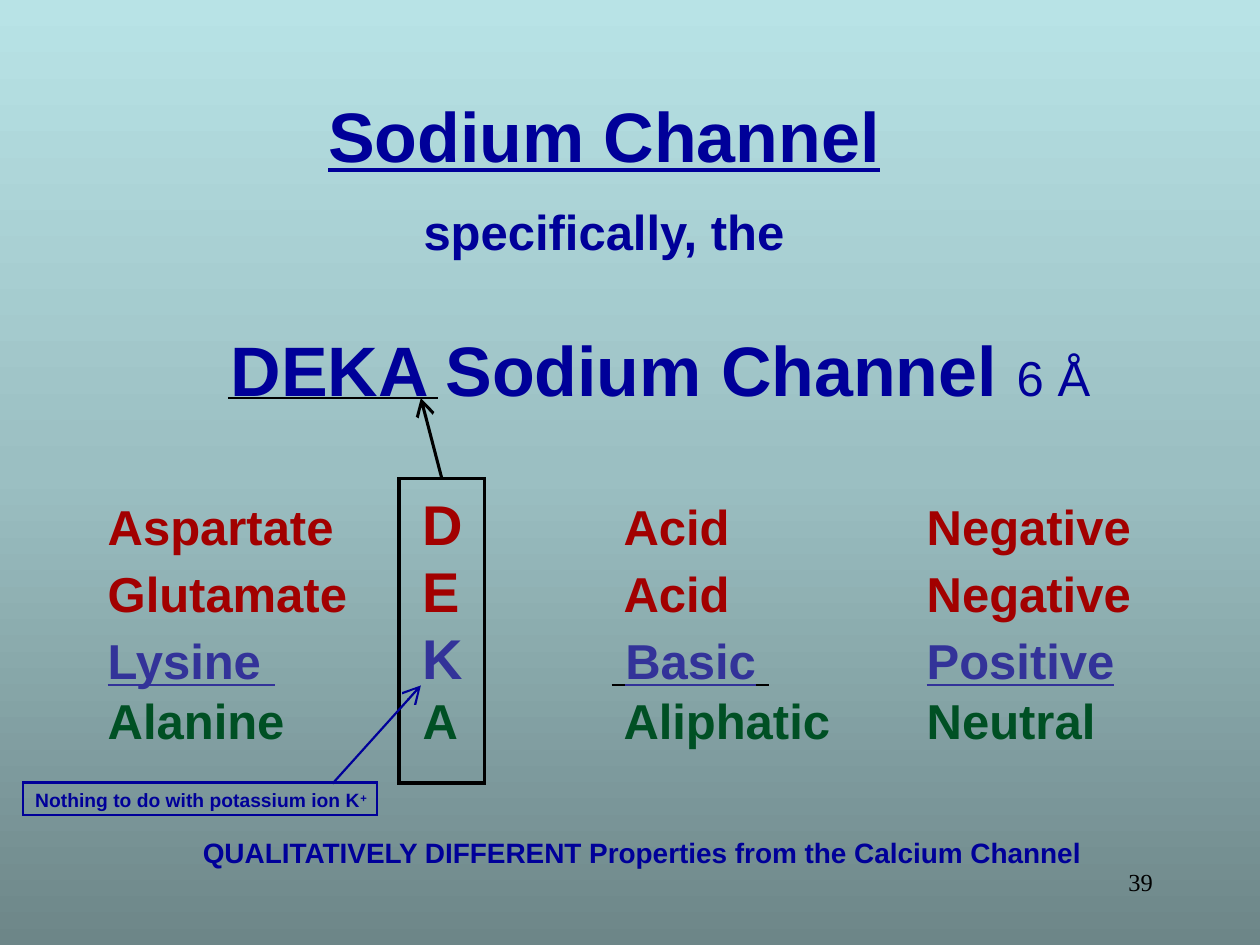
from copy import deepcopy

from pptx import Presentation
from pptx.dml.color import RGBColor
from pptx.enum.shapes import MSO_CONNECTOR, MSO_SHAPE
from pptx.enum.text import MSO_ANCHOR, MSO_AUTO_SIZE, PP_ALIGN
from pptx.oxml.ns import qn
from pptx.util import Pt
from lxml.etree import SubElement

NAVY, BLACK, RED, VIOLET, GREEN = "000099", "000000", "A20000", "333399", "005024"
STOPS = [(0, "6D8688"), (0.5, "9BBFC2"), (1, "B8E3E6")]
TABS = [180, 288, 468]
LINK = {"color": VIOLET, "line": True}
DARK = {"color": BLACK, "line": True}
BIG = {"size": 32}
ROWS = [
    (RED, [("Aspartate \t", {}), ("D", BIG), ("\t Acid  \tNegative", {})]),
    (RED, [("Glutamate \t", {}), ("E", BIG), ("\t Acid\tNegative", {})]),
    (VIOLET, [("Lysine ", LINK), ("\t", {}), ("K", BIG), ("\t", {}),
              (" ", DARK), ("Basic", LINK), (" ", DARK), ("\t", {}),
              ("Positive", LINK)]),
    (GREEN, [("Alanine \tA\t Aliphatic\tNeutral", {})]),
]


def hue(code):
    return RGBColor.from_string(code)


class Deck:
    face = "Arial"

    def __init__(self, wide, high):
        self.file = Presentation()
        self.file.slide_width, self.file.slide_height = Pt(wide), Pt(high)
        self.slide = self.file.slides.add_slide(self.file.slide_layouts[5])
        self.shapes = self.slide.shapes

    def fade(self, stops, angle):
        fill = self.slide.background.fill
        fill.gradient()
        fill.gradient_angle = angle
        held = self.slide.element.find(".//" + qn("a:gsLst"))
        held.append(deepcopy(held[0]))
        for stop, (place, code) in zip(fill.gradient_stops, stops):
            stop.position = place
            stop.color.rgb = hue(code)

    def place(self, shape, left, top, wide, high):
        shape.left, shape.top = Pt(left), Pt(top)
        shape.width, shape.height = Pt(wide), Pt(high)
        frame = shape.text_frame
        frame.word_wrap = True
        frame.auto_size = MSO_AUTO_SIZE.NONE
        frame.vertical_anchor = MSO_ANCHOR.TOP
        return frame

    def box(self, left, top, wide, high):
        shape = self.shapes.add_textbox(0, 0, 0, 0)
        return self.place(shape, left, top, wide, high)

    def style(self, par, size, color=NAVY, bold=True, face=None,
              align=PP_ALIGN.LEFT, before=0):
        par.alignment = align
        par.space_before = Pt(before)
        font = par.font
        font.name, font.size, font.bold = face or self.face, Pt(size), bold
        font.color.rgb = hue(color)
        return par

    def run(self, par, text, size=None, color=None, line=None, bold=None):
        run = par.add_run()
        run.text = text
        font = run.font
        font.underline, font.bold = line, bold
        if size:
            font.size = Pt(size)
        if color:
            font.color.rgb = hue(color)
        return run

    def rows(self, frame, rows, tabs):
        for i, (color, parts) in enumerate(rows):
            par = frame.add_paragraph() if i else frame.paragraphs[0]
            stops = SubElement(par._p.get_or_add_pPr(), qn("a:tabLst"))
            for tab in tabs:
                SubElement(stops, qn("a:tab"), pos=str(Pt(tab)), algn="l")
            self.style(par, 28, color)
            for text, look in parts:
                self.run(par, text, **look)

    def frame(self, left, top, wide, high, color, weight):
        shape = self.shapes.add_shape(MSO_SHAPE.RECTANGLE, Pt(left), Pt(top),
                                      Pt(wide), Pt(high))
        shape.shadow.inherit = False
        shape.fill.background()
        shape.line.color.rgb = hue(color)
        shape.line.width = Pt(weight)
        SubElement(shape.line._ln, qn("a:miter"), lim="800000")
        return shape

    def link(self, start, end, color, weight, arrow=False):
        line = self.shapes.add_connector(MSO_CONNECTOR.STRAIGHT,
                                         *map(Pt, start + end))
        line.line.color.rgb = hue(color)
        line.line.width = Pt(weight)
        props = line.element.spPr
        if arrow:
            SubElement(props.find(qn("a:ln")), qn("a:tailEnd"),
                       type="arrow", w="lg", len="lg")
        SubElement(props, qn("a:effectLst"))
        return line


def main():
    deck = Deck(720, 540)
    deck.fade(STOPS, 90)
    mid = PP_ALIGN.CENTER

    title = deck.place(deck.shapes.title, 11.4, 183, 732, 57)
    par = deck.style(title.paragraphs[0], 40, align=mid)
    deck.run(par, "DEKA Sodium Channel ")
    deck.run(par, "6 Å", size=28, bold=False)

    deck.rows(deck.box(54.5, 276, 654, 158), ROWS, TABS)

    head = deck.box(129.6, 49.4, 431, 106)
    par = deck.style(head.paragraphs[0], 40, align=mid)
    deck.run(par, "Sodium Channel", line=True)
    par = deck.style(head.add_paragraph(), 28, align=mid, before=14.3)
    deck.run(par, "specifically, the")

    page = deck.box(516, 492, 150, 36)
    par = deck.style(page.paragraphs[0], 14, BLACK, False, "Times New Roman",
                     PP_ALIGN.RIGHT)
    deck.run(par, "39")

    foot = deck.box(108.8, 474, 530, 27)
    par = deck.style(foot.paragraphs[0], 16)
    deck.run(par, "QUALITATIVELY DIFFERENT Properties from the Calcium Channel")

    column = deck.frame(228, 273.5, 49, 174, BLACK, 1.75)
    arrow = deck.link((250.5, 273.5), (240.5, 227.5), BLACK, 1.75, True)
    arrow.begin_connect(column, 0)
    deck.link((130.3, 227.5), (250.5, 227.5), BLACK, 1.25)

    note = deck.frame(13, 447.2, 202.3, 18.7, NAVY, 1.25)
    words = note.text_frame
    words.word_wrap = False
    words.vertical_anchor = MSO_ANCHOR.TOP
    par = deck.style(words.paragraphs[0], 11)
    deck.run(par, "Nothing to do with potassium ion K", color=NAVY)
    plus = deck.run(par, "+", color=NAVY)
    plus.font._element.set("baseline", "30000")
    deck.link((190, 447.8), (240.5, 391.7), NAVY, 1.25, True)

    deck.file.save("out.pptx")


if __name__ == "__main__":
    main()
